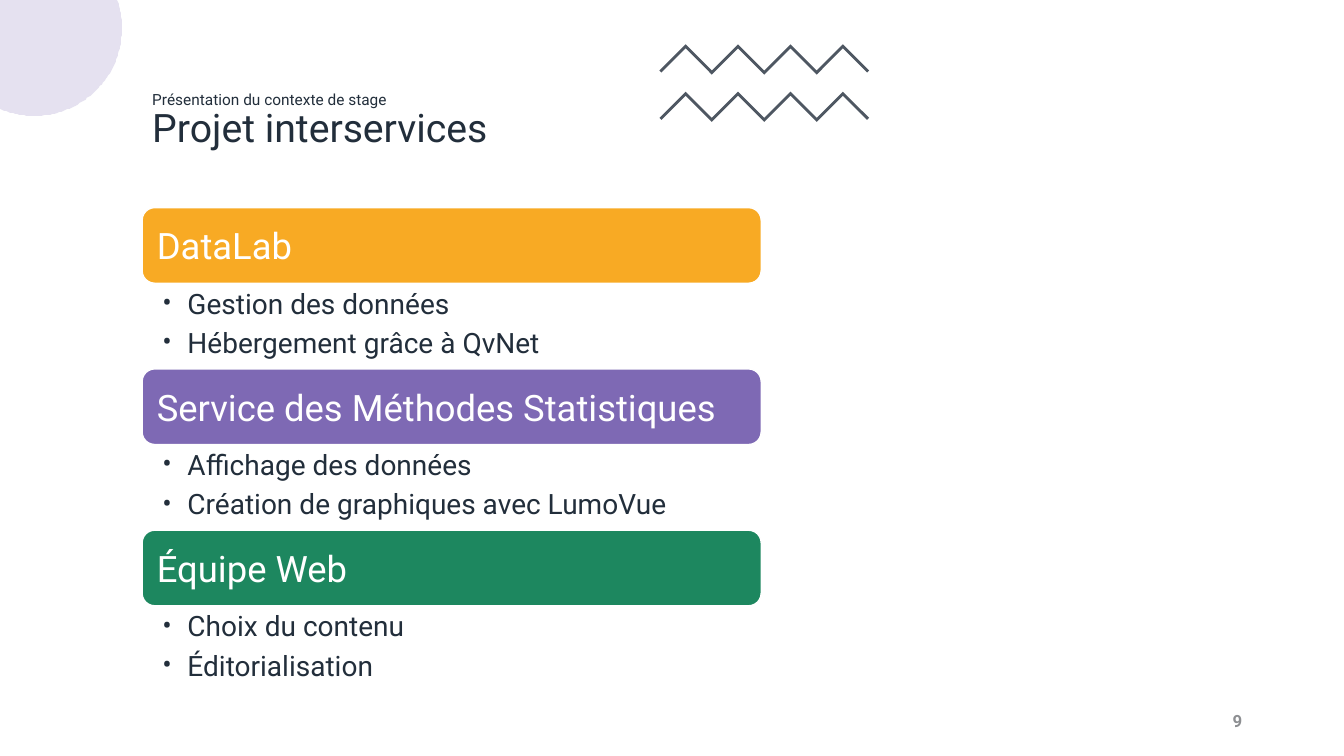
import math

from lxml import etree
from pptx import Presentation
from pptx import util as u
from pptx.dml.color import RGBColor
from pptx.enum import shapes, text
from pptx.oxml.ns import qn

WHITE = RGBColor(0xFF, 0xFF, 0xFF)
INK = RGBColor(0x22, 0x2E, 0x3B)
SLATE = RGBColor(0x4E, 0x57, 0x62)
GREY = RGBColor(0x8D, 0x8F, 0x92)
ORANGE = RGBColor(0xF8, 0xAA, 0x24)
PURPLE = RGBColor(0x7E, 0x69, 0xB4)
GREEN = RGBColor(0x1D, 0x87, 0x5F)

SECTION = "Présentation du contexte de stage"
TITLE = "Projet interservices"
PAGE_NUMBER = "9"
SERVICES = [
    ("DataLab", ORANGE, ["Gestion des données", "Hébergement grâce à QvNet"]),
    ("Service des Méthodes Statistiques", PURPLE,
     ["Affichage des données", "Création de graphiques avec LumoVue"]),
    ("Équipe Web", GREEN, ["Choix du contenu", "Éditorialisation"]),
]

FONT = "Roboto"
PX = 9144  # EMU in one px, 100 px to the inch
LEFT, TOP, WIDTH = 141, 206, 614
HEADER_HEIGHT, BODY_HEIGHT = 75, 85
ZIGZAG_LEFT, ZIGZAG_TOPS, ZIGZAG_STEP, ZIGZAG_STROKE = 654, (44, 91), 26, 4
DISC_X, DISC_Y, DISC_RADIUS = 34, 28, 87


def px(*lengths):
    return [u.Emu(length * PX) for length in lengths]


def add_run(paragraph, words, size, color, bold=None):
    run = paragraph.add_run()
    run.text = words
    run.font.name = FONT
    run.font.size = u.Pt(size)
    run.font.color.rgb = color
    run.font.bold = bold


def set_frame(frame, anchor, left=10, top=5, right=10, bottom=5):
    frame.word_wrap = True
    frame.auto_size = text.MSO_AUTO_SIZE.NONE
    frame.vertical_anchor = anchor
    (frame.margin_left, frame.margin_top,
     frame.margin_right, frame.margin_bottom) = px(left, top, right, bottom)


def add_outline(slide, points, color):
    """Add a closed, filled polygon without a border."""
    builder = slide.shapes.build_freeform(*points[0], scale=PX)
    builder.add_line_segments(points[1:], close=True)
    shape = builder.convert_to_shape()
    shape.shadow.inherit = False
    shape.fill.solid()
    shape.fill.fore_color.rgb = color
    shape.line.fill.background()
    return shape


def add_zigzag(slide, top):
    upper = [(ZIGZAG_LEFT + i * ZIGZAG_STEP, top + ZIGZAG_STEP * (1 - i % 2))
             for i in range(9)]
    lower = [(x, y + ZIGZAG_STROKE) for x, y in upper]
    half = ZIGZAG_STROKE // 2
    (first_x, first_y), (last_x, last_y) = lower[0], lower[-1]
    lower[0] = (first_x + half, first_y - half)
    lower[-1] = (last_x - half, last_y - half)
    add_outline(slide, upper + lower[::-1], SLATE)


def add_corner_disc(slide):
    """Add the part of the pale disc that lies within the slide's top left corner."""
    start = -math.asin(DISC_Y / DISC_RADIUS)
    end = math.acos(-DISC_X / DISC_RADIUS)
    steps = 90
    angles = [start + (end - start) * i / steps for i in range(steps + 1)]
    arc = [(round(DISC_X + DISC_RADIUS * math.cos(a), 2),
            round(DISC_Y + DISC_RADIUS * math.sin(a), 2)) for a in angles]
    disc = add_outline(slide, [(0, 0)] + arc, PURPLE)
    color = disc.fill._xPr.find(".//" + qn("a:srgbClr"))
    etree.SubElement(color, qn("a:alpha"), val="20000")


def add_title(slide):
    title = slide.shapes.title
    title.left, title.top, title.width, title.height = px(141, 86, 454, 109)
    set_frame(title.text_frame, text.MSO_ANCHOR.TOP)
    paragraph = title.text_frame.paragraphs[0]
    paragraph.alignment = text.PP_ALIGN.LEFT
    paragraph.line_spacing = 0.9
    add_run(paragraph, SECTION, 11, INK)
    paragraph.add_line_break()
    add_run(paragraph, TITLE, 28, INK)


def add_page_number(slide):
    box = slide.shapes.add_textbox(*px(942, 695, 300, 40))
    set_frame(box.text_frame, text.MSO_ANCHOR.MIDDLE)
    paragraph = box.text_frame.paragraphs[0]
    paragraph.alignment = text.PP_ALIGN.RIGHT
    add_run(paragraph, PAGE_NUMBER, 12, GREY, bold=True)


def add_header(slide, top, name, color):
    header = slide.shapes.add_shape(shapes.MSO_SHAPE.ROUNDED_RECTANGLE,
                                    *px(LEFT, top, WIDTH, HEADER_HEIGHT))
    header.shadow.inherit = False
    header.fill.solid()
    header.fill.fore_color.rgb = color
    header.line.color.rgb = WHITE
    header.line.width = u.Pt(1)
    set_frame(header.text_frame, text.MSO_ANCHOR.MIDDLE, 11, 11, 11, 11)
    paragraph = header.text_frame.paragraphs[0]
    paragraph.alignment = text.PP_ALIGN.LEFT
    add_run(paragraph, name, 26, WHITE)


def add_bullets(slide, top, items):
    box = slide.shapes.add_textbox(*px(LEFT, top, WIDTH, BODY_HEIGHT))
    frame = box.text_frame
    set_frame(frame, text.MSO_ANCHOR.TOP, 20, 3, 20, 4)
    for i, item in enumerate(items):
        paragraph = frame.add_paragraph() if i else frame.paragraphs[0]
        paragraph.level = 1
        paragraph.space_after = u.Pt(4)
        properties = paragraph._p.get_or_add_pPr()
        properties.set("marL", str(25 * PX))
        properties.set("indent", str(-25 * PX))
        etree.SubElement(properties, qn("a:buFont"), typeface=FONT)
        etree.SubElement(properties, qn("a:buChar"), char="•")
        add_run(paragraph, item, 20, INK)


def main():
    presentation = Presentation()
    presentation.slide_width, presentation.slide_height = px(1333, 750)
    slide = presentation.slides.add_slide(presentation.slide_layouts[5])
    for top in ZIGZAG_TOPS:
        add_zigzag(slide, top)
    add_corner_disc(slide)
    add_title(slide)
    add_page_number(slide)
    for i, (name, color, items) in enumerate(SERVICES):
        top = TOP + i * (HEADER_HEIGHT + BODY_HEIGHT)
        add_header(slide, top, name, color)
        add_bullets(slide, top + HEADER_HEIGHT, items)
    presentation.save("out.pptx")


if __name__ == "__main__":
    main()
